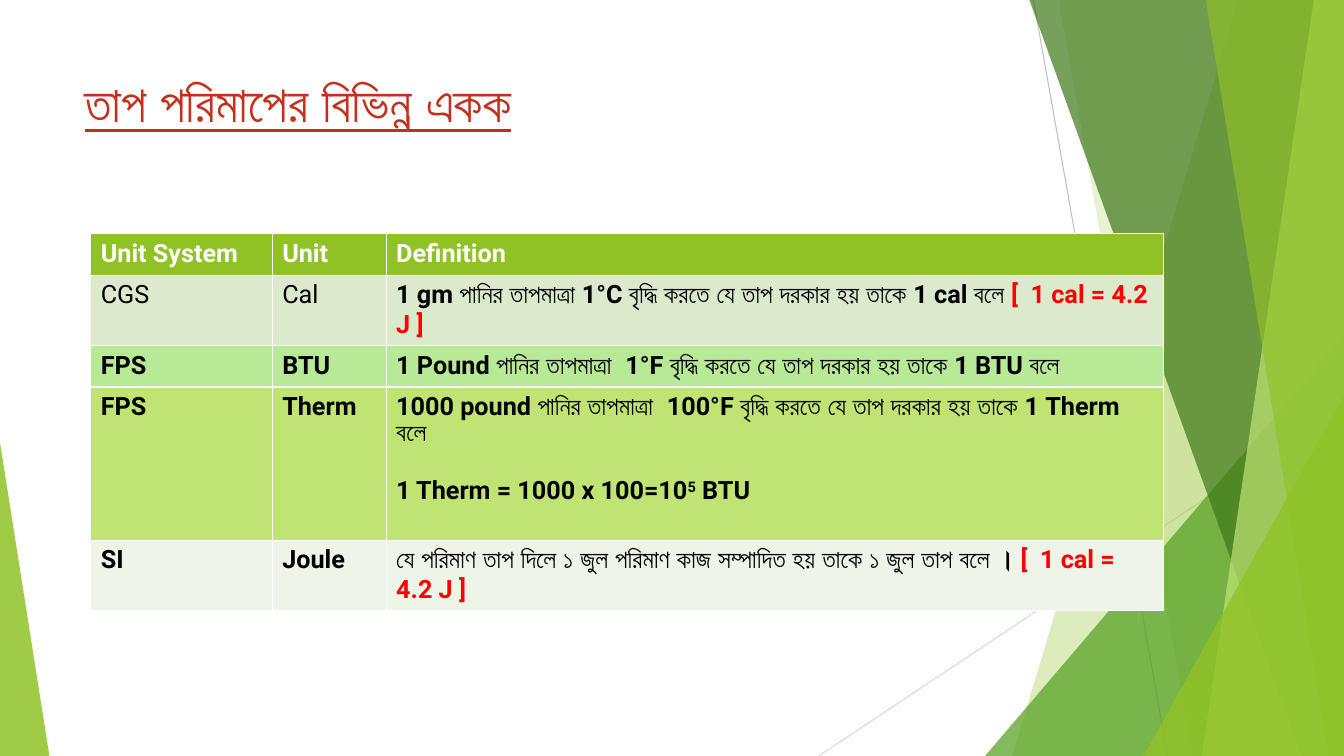
from lxml import etree
from pptx import Presentation
from pptx.dml.color import RGBColor
from pptx.enum.shapes import MSO_CONNECTOR as Conn, MSO_SHAPE as Shape
from pptx.enum.text import MSO_ANCHOR as Anchor
from pptx.oxml.ns import qn
from pptx.util import Inches, Pt

WIDTH, HEIGHT = 13.33, 7.5
FONT = "Roboto"
COLORS = {
    "lime": "90C226", "green": "54A021", "forest": "3F7819", "pale": "C0E474",
    "grey": "BFBFBF", "silver": "D9D9D9", "title": "C42F1A", "white": "FFFFFF",
    "black": "000000", "red": "FF0000",
    "cgs": "DBE9CD", "btu": "B7E996", "therm": "C0E474", "si": "EEF4E8",
}

# Right-hand bands: distance of top and bottom corners from the right edge
BACK_BANDS = [(1.05, 3.29, "lime", 30), (2.83, 1.5, "lime", 20)]
FRONT_BANDS = [(3.12, 0.42, "forest", 70), (0.3, 1.41, "pale", 70),
               (1.37, 0.15, "lime", 65)]

COL_WIDTHS = [1.8, 1.13, 7.71]
ROW_HEIGHTS = [0.41, 0.69, 0.41, 1.52, 0.69]
JOULES = ("[  1 cal = 4.2 J ]", {"color": "red"})

# Each row: fill, format, cells; a cell lists paragraphs, a paragraph lists runs
ROWS = [
    ("lime", {"color": "white"},
     [[["Unit System"]], [["Unit"]], [["Definition"]]]),
    ("cgs", {}, [
        [[("CGS", {"bold": False})]], [[("Cal", {"bold": False})]],
        [["1 gm পানির তাপমাত্রা 1°C বৃদ্ধি করতে যে তাপ দরকার হয় তাকে 1 cal বলে ",
          JOULES]]]),
    ("btu", {}, [
        [["FPS"]], [["BTU"]],
        [["1 Pound পানির তাপমাত্রা  1°F বৃদ্ধি করতে যে তাপ দরকার হয় তাকে 1 BTU বলে"]]]),
    ("therm", {}, [
        [["FPS"]], [["Therm"]],
        [["1000 pound পানির তাপমাত্রা  100°F বৃদ্ধি করতে যে তাপ দরকার হয় তাকে 1 Therm বলে"],
         ["1 Therm = 1000 x 100=10", ("5", {"baseline": 30000}), " BTU"]]]),
    ("si", {}, [
        [["SI"]], [["Joule"]],
        [["যে পরিমাণ তাপ দিলে ১ জুল পরিমাণ কাজ সম্পাদিত হয় তাকে ১ জুল তাপ বলে । ",
          JOULES]]]),
]


def rgb(name):
    return RGBColor.from_string(COLORS[name])


def paint(sp, color, opacity):
    sp.shadow.inherit = False
    sp.line.fill.background()
    sp.fill.solid()
    sp.fill.fore_color.rgb = rgb(color)
    clr = sp.fill._xPr.find(qn("a:solidFill"))[0]
    etree.SubElement(clr, qn("a:alpha")).set("val", str(opacity * 1000))


def add_run(p, text, color="black", baseline=None, **fmt):
    r = p.add_run()
    r.text = text
    for name, value in ({"name": FONT, "size": Pt(18), "bold": True} | fmt).items():
        setattr(r.font, name, value)
    r.font.color.rgb = rgb(color)
    if baseline:
        r._r.get_or_add_rPr().set("baseline", str(baseline))


def add_line(slide, start, end, color):
    line = slide.shapes.add_connector(
        Conn.STRAIGHT, *(Inches(v) for v in (*start, *end)))
    line.line.color.rgb = rgb(color)
    line.line.width = Pt(0.75)
    etree.SubElement(line._element.spPr, qn("a:effectLst"))


def add_triangle(slide, box, apex, color, opacity):
    sp = slide.shapes.add_shape(Shape.ISOSCELES_TRIANGLE, *map(Inches, box))
    sp.adjustments[0] = apex
    paint(sp, color, opacity)


def add_bands(slide, right, bottom, bands):
    for top_inset, bottom_inset, color, opacity in bands:
        corners = [(right - top_inset, 0), (right, 0), (right, bottom),
                   (right - bottom_inset, bottom)]
        points = [(Inches(x), Inches(y)) for x, y in corners]
        builder = slide.shapes.build_freeform(*points[0], scale=1)
        builder.add_line_segments(points[1:], close=True)
        paint(builder.convert_to_shape(), color, opacity)


def add_facets(slide, left, top, width, height):
    right, bottom = left + width, top + height
    # Thin crossing lines
    add_line(slide, (right - 3.08, top), (right - 1.75, bottom), "grey")
    add_line(slide, (right, bottom - 3.47), (right - 5.21, bottom), "silver")
    # Overlapping translucent facets
    add_bands(slide, right, bottom, BACK_BANDS)
    add_triangle(slide, (right - 3.56, bottom - 4.17, 3.56, 4.17), 1, "green", 72)
    add_bands(slide, right, bottom, FRONT_BANDS)
    add_triangle(slide, (right - 1.99, bottom - 3.57, 1.99, 3.57), 1, "lime", 80)
    # Wedge in the lower left corner
    add_triangle(slide, (left, bottom - 3.11, 0.49, 3.11), 0, "lime", 85)


def add_title(slide, *box):
    tf = slide.shapes.add_textbox(*map(Inches, box)).text_frame
    tf.word_wrap = True
    tf.vertical_anchor = Anchor.TOP
    add_run(tf.paragraphs[0], "তাপ পরিমাপের বিভিন্ন একক", "title",
            size=Pt(36), underline=True)


def fill_cell(cell, fill, fmt, paragraphs):
    cell.fill.solid()
    cell.fill.fore_color.rgb = rgb(fill)
    tf = cell.text_frame
    for i, runs in enumerate(paragraphs):
        p = tf.add_paragraph() if i else tf.paragraphs[0]
        if i:
            p.space_before = Pt(21)
        for item in runs:
            text, extra = (item, {}) if isinstance(item, str) else item
            add_run(p, text, **(fmt | extra))


def add_units_table(slide, left, top):
    box = (left, top, sum(COL_WIDTHS), sum(ROW_HEIGHTS))
    table = slide.shapes.add_table(
        len(ROWS), len(COL_WIDTHS), *map(Inches, box)).table
    table.horz_banding = False
    for col, width in zip(table.columns, COL_WIDTHS):
        col.width = Inches(width)
    for row, height, (fill, fmt, cells) in zip(table.rows, ROW_HEIGHTS, ROWS):
        row.height = Inches(height)
        for cell, paragraphs in zip(row.cells, cells):
            fill_cell(cell, fill, fmt, paragraphs)


def main():
    prs = Presentation()
    prs.slide_width, prs.slide_height = Inches(WIDTH), Inches(HEIGHT)
    slide = prs.slides.add_slide(prs.slide_layouts[6])
    add_facets(slide, 0, 0, WIDTH, HEIGHT)
    add_title(slide, 0.74, 0.67, 9.4, 1.44)
    add_units_table(slide, 0.9, 2.32)
    prs.save("out.pptx")


if __name__ == "__main__":
    main()
